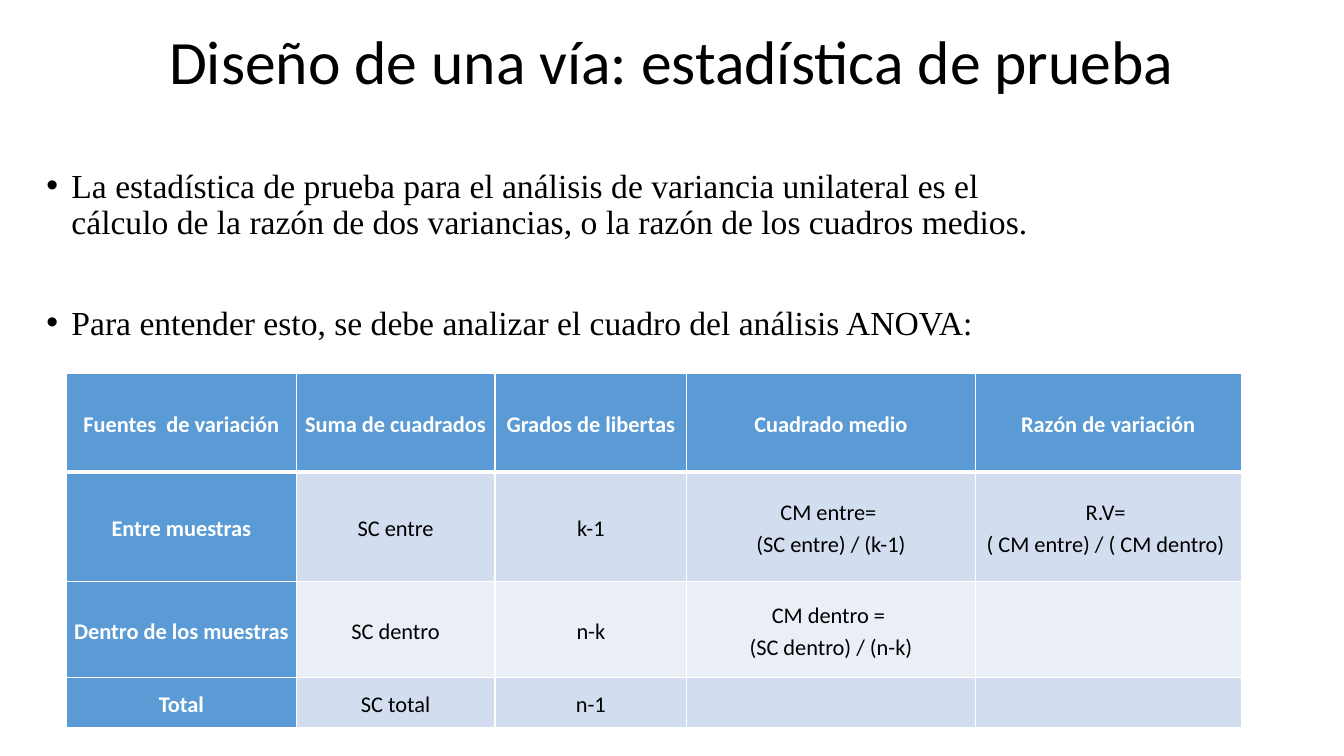
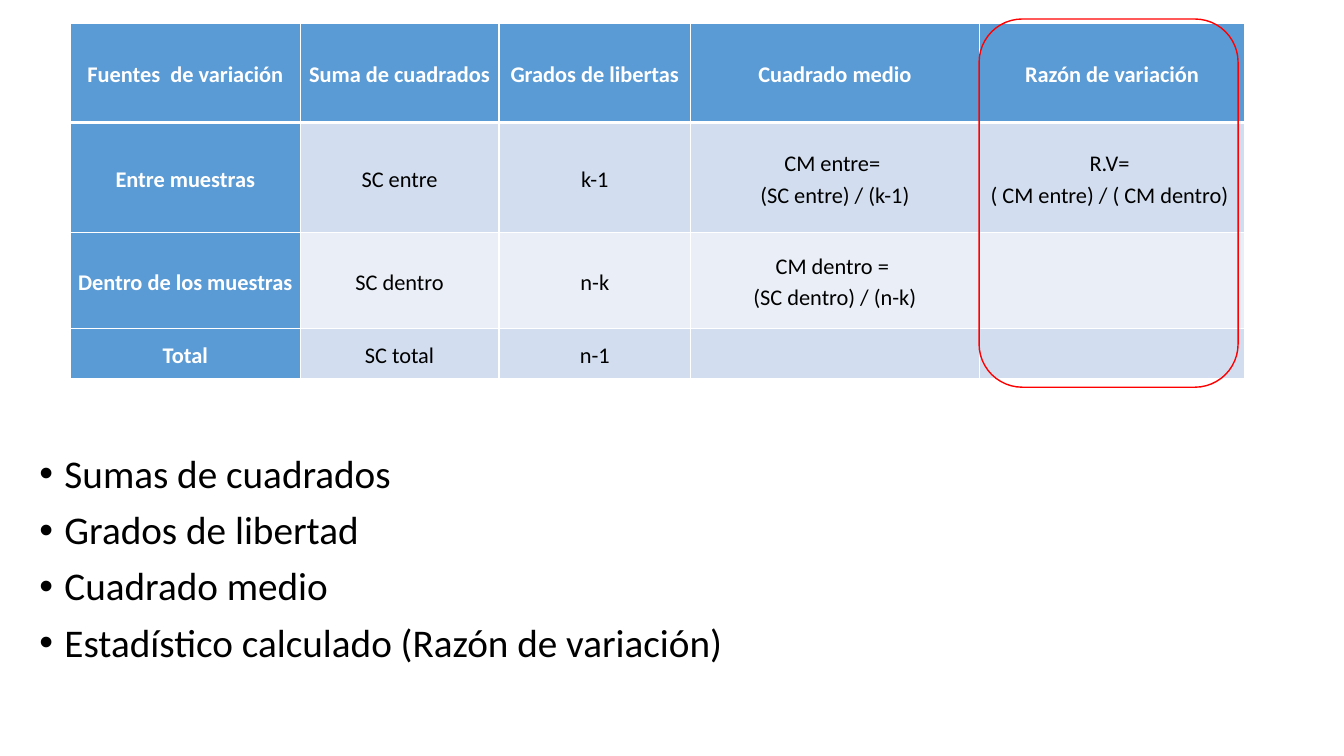
from dataclasses import dataclass

from lxml.etree import SubElement
from pptx import Presentation
from pptx.dml.color import RGBColor as Rgb
from pptx.enum.shapes import MSO_SHAPE as Shape
from pptx.enum.text import MSO_ANCHOR as Anchor, PP_ALIGN as Align
from pptx.oxml.ns import qn
from pptx.util import Pt


@dataclass(frozen=True)
class Theme:
    ink: str = "000000"
    white: str = "FFFFFF"
    accent: str = "5B9BD5"
    band_dark: str = "D2DEEF"
    band_light: str = "EAEFF7"
    highlight: str = "FF0000"
    sans: str = "Calibri"
    serif: str = "Times New Roman"
    title_size: int = 44
    list_size: int = 28
    body_size: int = 24
    cell_size: int = 16


THEME = Theme()
COLUMN_WIDTHS = [164, 142, 137, 206, 190]
ROW_HEIGHTS = [70.6, 78.5, 68.4, 36]
ANOVA_ROWS = [
    ["Fuentes  de variación", "Suma de cuadrados", "Grados de libertas",
     "Cuadrado medio", "Razón de variación"],
    ["Entre muestras", "SC entre", "k-1",
     "CM entre= \n(SC entre) / (k-1)",
     "R.V= \n( CM entre) / ( CM dentro) "],
    ["Dentro de los muestras", "SC dentro", "n-k",
     "CM dentro = \n(SC dentro) / (n-k)", ""],
    ["Total", "SC total", "n-1", "", ""],
]


def add_run(paragraph, text, size, font=THEME.sans, color=THEME.ink, bold=False):
    run = paragraph.add_run()
    run.text = text
    run.font.size = Pt(size)
    run.font.name = font
    run.font.bold = bold
    run.font.color.rgb = Rgb.from_string(color)


def add_frame(slide, left, top, width, height):
    frame = slide.shapes.add_textbox(Pt(left), Pt(top), Pt(width), Pt(height)).text_frame
    frame.word_wrap = True
    return frame


def paragraph_at(frame, index):
    return frame.add_paragraph() if index else frame.paragraphs[0]


def add_title(slide, text):
    frame = add_frame(slide, 66, 0, 828, 92)
    frame.vertical_anchor = Anchor.MIDDLE
    heading = frame.paragraphs[0]
    heading.alignment = Align.CENTER
    heading.line_spacing = 0.9
    add_run(heading, text, THEME.title_size)


def add_bullets(slide, box, items, size, font, gap=10):
    frame = add_frame(slide, *box)
    for index, text in enumerate(items):
        item = paragraph_at(frame, index)
        item.line_spacing = 0.9
        item.space_before = Pt(gap if index else 10)
        properties = item._p.get_or_add_pPr()
        properties.set("marL", str(Pt(18)))
        properties.set("indent", str(-Pt(18)))
        SubElement(properties, qn("a:buFont"), typeface="Arial")
        SubElement(properties, qn("a:buChar"), char="•")
        add_run(item, text, size, font)


def set_borders(cell, top, bottom):
    properties = cell._tc.get_or_add_tcPr()
    for side, width in (("L", 1), ("R", 1), ("T", top), ("B", bottom)):
        line = SubElement(properties, qn(f"a:ln{side}"), w=str(Pt(width)))
        fill = SubElement(line, qn("a:solidFill"))
        SubElement(fill, qn("a:srgbClr"), val=THEME.white)


def fill_cell(cell, text, row, column):
    is_heading = row == 0 or column == 0
    band = THEME.band_dark if row % 2 else THEME.band_light
    set_borders(cell, top=3 if row == 1 else 1, bottom=3 if row == 0 else 1)
    cell.fill.solid()
    cell.fill.fore_color.rgb = Rgb.from_string(THEME.accent if is_heading else band)
    cell.vertical_anchor = Anchor.MIDDLE
    cell.margin_left = cell.margin_right = Pt(5)
    cell.margin_top = cell.margin_bottom = 0
    if not text:
        return
    for index, line in enumerate(text.split("\n")):
        paragraph = paragraph_at(cell.text_frame, index)
        paragraph.alignment = Align.CENTER
        paragraph.line_spacing = 1.15
        add_run(paragraph, line, THEME.cell_size,
                color=THEME.white if is_heading else THEME.ink, bold=is_heading)


def add_anova_table(slide, left, top):
    table = slide.shapes.add_table(
        len(ROW_HEIGHTS), len(COLUMN_WIDTHS), Pt(left), Pt(top),
        Pt(sum(COLUMN_WIDTHS)), Pt(sum(ROW_HEIGHTS))).table
    table.horz_banding = False
    for column, width in zip(table.columns, COLUMN_WIDTHS):
        column.width = Pt(width)
    for row, height in zip(table.rows, ROW_HEIGHTS):
        row.height = Pt(height)
    for row, texts in enumerate(ANOVA_ROWS):
        for column, text in enumerate(texts):
            fill_cell(table.cell(row, column), text, row, column)


def add_ratio_outline(slide, left, top):
    outline = slide.shapes.add_shape(
        Shape.ROUNDED_RECTANGLE, Pt(left), Pt(top), Pt(185), Pt(263))
    outline.shadow.inherit = False
    outline.fill.background()
    outline.line.color.rgb = Rgb.from_string(THEME.highlight)
    outline.line.width = Pt(1)


def build_statistic_slide(slide):
    add_bullets(slide, (26, 117.4, 741.6, 342.7), [
        "La estadística de prueba para el análisis de variancia unilateral es el "
        "cálculo de la razón de dos variancias, o la razón de los cuadros medios.",
        "Para entender esto, se debe analizar el cuadro del análisis ANOVA:",
    ], THEME.body_size, THEME.serif, gap=46)
    add_title(slide, "Diseño de una vía: estadística de prueba")
    add_anova_table(slide, 47.6, 266.4)


def build_ratio_slide(slide):
    add_bullets(slide, (21, 321, 828, 186), [
        "Sumas de cuadrados",
        "Grados de libertad",
        "Cuadrado medio",
        "Estadístico calculado (Razón de variación)",
    ], THEME.list_size, THEME.sans)
    table_left, table_top = 50.4, 17
    add_anova_table(slide, table_left, table_top)
    add_ratio_outline(slide, table_left + sum(COLUMN_WIDTHS[:-1]), table_top - 3.4)


def main():
    deck = Presentation()
    deck.slide_width, deck.slide_height = Pt(960), Pt(540)
    blank = deck.slide_layouts[6]
    for build in (build_statistic_slide, build_ratio_slide):
        build(deck.slides.add_slide(blank))
    deck.save("out.pptx")


if __name__ == "__main__":
    main()
